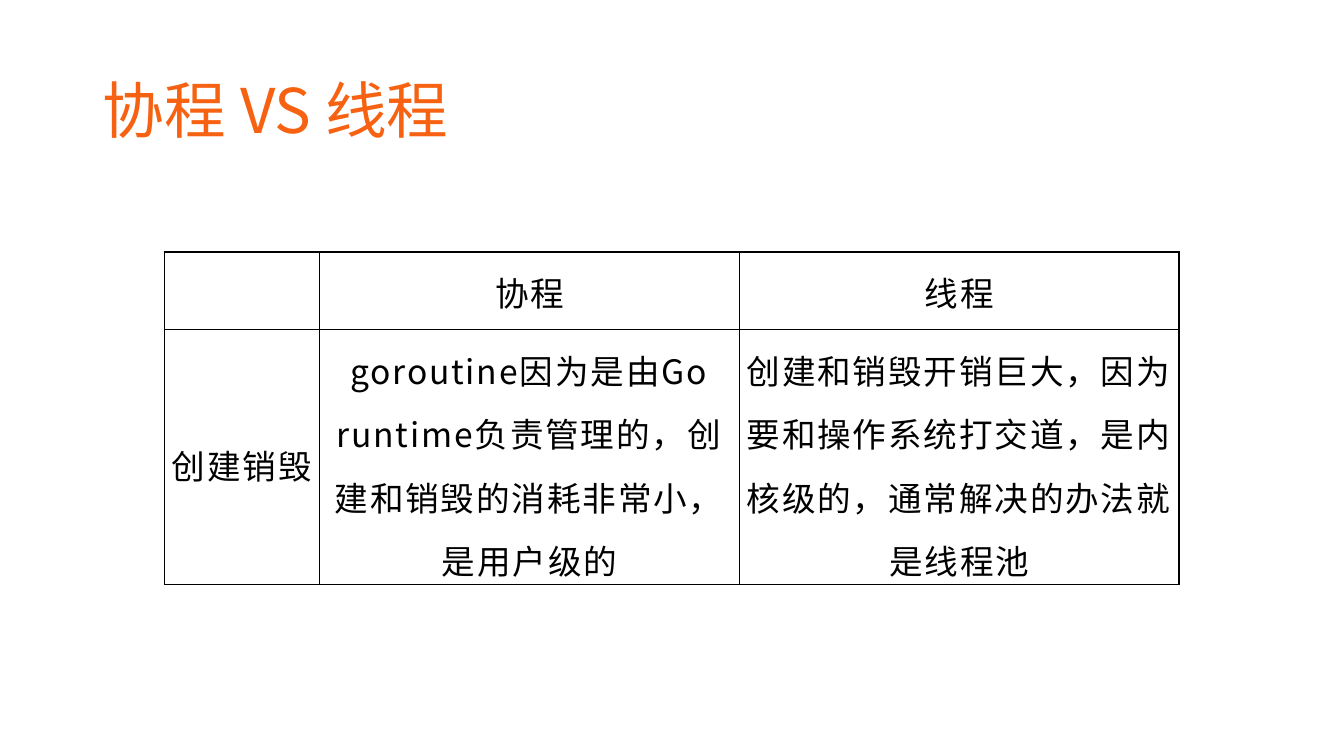
from lxml.etree import SubElement
from pptx import Presentation
from pptx.dml.color import RGBColor
from pptx.enum.text import MSO_ANCHOR as Anchor, MSO_AUTO_SIZE as AutoSize, PP_ALIGN as Align
from pptx.oxml.ns import qn
from pptx.util import Cm, Pt

FONT = "Noto Sans CJK SC"
ORANGE, BLACK, WHITE = "F76212", "000000", "FFFFFF"
TITLE_BOX = (2.34, 1.02, 29.21, 3.68)
TABLE_BOX = (4.14, 6.35, 25.57, 7.83)
COLUMN_WIDTHS = (3.91, 10.59, 11.07)
ROW_HEIGHTS = (1.96, 5.87)
ROWS = (
    ("", "协程", "线程"),
    (
        "创建销毁",
        "goroutine因为是由Go runtime负责管理的，创建和销毁的消耗非常小，是用户级的",
        "创建和销毁开销巨大，因为要和操作系统打交道，是内核级的，通常解决的办法就是线程池",
    ),
)


def colour(value):
    """Turn a hex string into a colour."""
    return RGBColor.from_string(value)


def apply(target, formats):
    """Set each named format value on the target."""
    for name, value in formats.items():
        setattr(target, name, value)


def write(frame, text, size, hue, formats, spacing=None):
    """Write one formatted paragraph into a text frame."""
    para = frame.paragraphs[0]
    apply(para, formats)
    span = para.add_run()
    span.text = text
    apply(span.font, {"name": FONT, "size": Pt(size)})
    span.font.color.rgb = colour(hue)
    properties = span.font._element
    SubElement(properties, qn("a:ea"), typeface=FONT)
    if spacing is not None:
        properties.set("spc", str(round(spacing * 100)))


def add_borders(cell, width, hue):
    """Draw a solid line on every side of a cell."""
    properties = cell._tc.get_or_add_tcPr()
    for side in ("lnL", "lnR", "lnT", "lnB"):
        line = SubElement(properties, qn(f"a:{side}"), w=str(Pt(width)))
        fill = SubElement(line, qn("a:solidFill"))
        SubElement(fill, qn("a:srgbClr"), val=hue)


def add_title(page, box, text):
    """Place the title placeholder in its box."""
    title = page.shapes.title
    apply(title, dict(zip(("left", "top", "width", "height"), map(Cm, box))))
    apply(title.text_frame, {
        "word_wrap": True,
        "auto_size": AutoSize.NONE,
        "vertical_anchor": Anchor.MIDDLE,
    })
    write(title.text_frame, text, 44, ORANGE,
          {"alignment": Align.LEFT, "line_spacing": 0.9})


def add_comparison(page, box, rows):
    """Place the bordered comparison table in its box."""
    table = page.shapes.add_table(len(rows), len(rows[0]), *map(Cm, box)).table
    apply(table, {"first_row": False, "horz_banding": False})
    for column, width in zip(table.columns, COLUMN_WIDTHS):
        column.width = Cm(width)
    for row, height in zip(table.rows, ROW_HEIGHTS):
        row.height = Cm(height)
    cell_formats = {
        "vertical_anchor": Anchor.MIDDLE,
        "margin_left": Cm(0.03),
        "margin_right": Cm(0.03),
        "margin_top": Cm(0.03),
        "margin_bottom": 0,
    }
    for row_index, texts in enumerate(rows):
        line_spacing = 1.3 if row_index else 1.0
        for column_index, text in enumerate(texts):
            cell = table.cell(row_index, column_index)
            apply(cell, cell_formats)
            add_borders(cell, 1, BLACK)
            cell.fill.background()
            if text:
                write(cell.text_frame, text, 24, BLACK,
                      {"alignment": Align.CENTER, "line_spacing": line_spacing}, 1.3)


def main():
    """Build the slide and save the deck."""
    deck = Presentation()
    apply(deck, {"slide_width": Cm(33.87), "slide_height": Cm(19.05)})
    page = deck.slides.add_slide(deck.slide_layouts[5])
    page.background.fill.solid()
    page.background.fill.fore_color.rgb = colour(WHITE)
    add_title(page, TITLE_BOX, "协程 VS 线程")
    add_comparison(page, TABLE_BOX, ROWS)
    deck.save("out.pptx")


if __name__ == "__main__":
    main()
